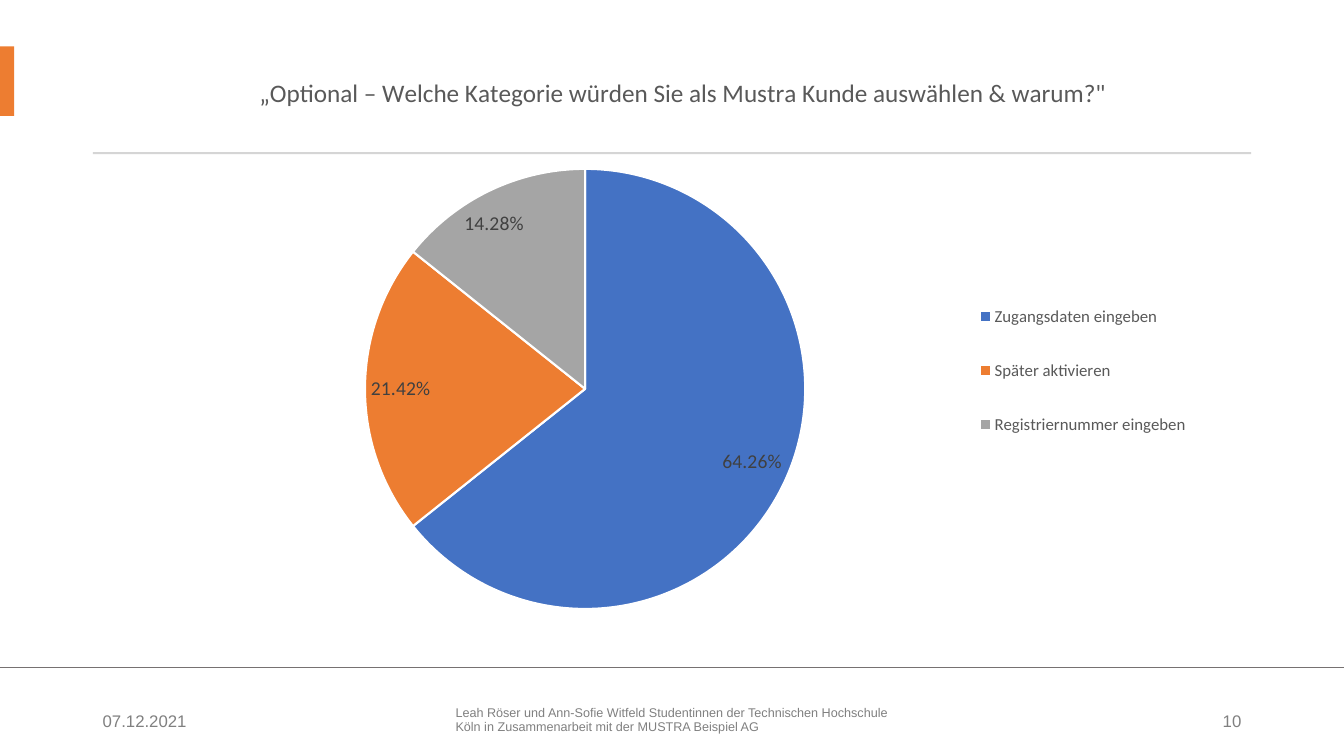
"""Build a survey result slide with a pie chart, a header accent and a footer."""
from dataclasses import dataclass

from lxml import etree
from pptx import Presentation
from pptx.chart.data import CategoryChartData
from pptx.dml.color import RGBColor
from pptx.enum.chart import XL_CHART_TYPE, XL_LABEL_POSITION, XL_LEGEND_POSITION
from pptx.enum.shapes import MSO_CONNECTOR, MSO_SHAPE
from pptx.enum.text import MSO_ANCHOR, PP_ALIGN
from pptx.oxml.ns import qn
from pptx.util import Inches, Pt

PIE = XL_CHART_TYPE.PIE
BEST_FIT = XL_LABEL_POSITION.BEST_FIT
BOTTOM = XL_LEGEND_POSITION.BOTTOM
STRAIGHT = MSO_CONNECTOR.STRAIGHT
RECTANGLE = MSO_SHAPE.RECTANGLE
MIDDLE = MSO_ANCHOR.MIDDLE
LEFT, RIGHT = PP_ALIGN.LEFT, PP_ALIGN.RIGHT

WHITE = RGBColor(0xFF, 0xFF, 0xFF)
BLUE = RGBColor(0x44, 0x72, 0xC4)
ORANGE = RGBColor(0xED, 0x7D, 0x31)
GRAY = RGBColor(0xA5, 0xA5, 0xA5)
RULE_GRAY = RGBColor(0xD5, 0xD5, 0xD5)
LINE_GRAY = RGBColor(0x76, 0x71, 0x71)
FOOTER_GRAY = RGBColor(0x80, 0x80, 0x80)
TITLE_GRAY = RGBColor(0x59, 0x59, 0x59)
LABEL_GRAY = RGBColor(0x40, 0x40, 0x40)

SLIDE_WIDTH, SLIDE_HEIGHT = 13.33, 7.5
MARGIN = 0.92
CONTENT_WIDTH = SLIDE_WIDTH - 2 * MARGIN
HEADER_TOP = 0.46
FOOTER_LINE_Y = 6.62
FOOTER_TOP, FOOTER_HEIGHT = 6.95, 0.4

QUESTION = "„Optional – Welche Kategorie würden Sie als Mustra Kunde auswählen & warum?\""
CREDIT = ("Leah Röser und Ann-Sofie Witfeld Studentinnen der Technischen Hochschule "
          "Köln in Zusammenarbeit mit der MUSTRA Beispiel AG")


@dataclass(frozen=True)
class Bar:
    left: float
    top: float
    width: float
    height: float
    color: RGBColor


@dataclass(frozen=True)
class FooterField:
    text: str
    left: float
    width: float
    size: int
    align: PP_ALIGN = LEFT
    line_spacing: float = 1.0


@dataclass(frozen=True)
class Answer:
    label: str
    share: float
    color: RGBColor


BARS = (
    Bar(0, HEADER_TOP, 0.14, 0.69, ORANGE),
    Bar(MARGIN, 1.51, CONTENT_WIDTH, 0.02, RULE_GRAY),
)
FOOTER = (
    FooterField("07.12.2021", MARGIN, 2.7, 12),
    FooterField(CREDIT, 4.42, 4.5, 9, line_spacing=0.9),
    FooterField("10", 9.69, 2.72, 12, RIGHT),
)
ANSWERS = (
    Answer("Zugangsdaten eingeben", 0.6426, BLUE),
    Answer("Später aktivieren", 0.2142, ORANGE),
    Answer("Registriernummer eingeben", 0.1428, GRAY),
)


def set_format(target, values: dict) -> None:
    for attribute, value in values.items():
        setattr(target, attribute, value)


def style_font(font, size: int, color: RGBColor, face: str = "Calibri") -> None:
    set_format(font, {"name": face, "size": Pt(size), "bold": False})
    font.color.rgb = color


def place(parent, index: int, **shares: float) -> None:
    """Give a chart part a manual layout in shares of the chart's size."""
    for old in parent.findall(qn("c:layout")):
        parent.remove(old)
    layout = etree.Element(qn("c:layout"))
    manual = etree.SubElement(layout, qn("c:manualLayout"))
    if "w" in shares and index == 0:
        etree.SubElement(manual, qn("c:layoutTarget")).set("val", "inner")
    modes = {f"{axis}Mode": "edge" for axis in "xy"}
    for tag, value in {**modes, **shares}.items():
        etree.SubElement(manual, qn(f"c:{tag}")).set("val", str(value))
    parent.insert(index, layout)


def add_bar(slide, bar: Bar) -> None:
    box = map(Inches, (bar.left, bar.top, bar.width, bar.height))
    shape = slide.shapes.add_shape(RECTANGLE, *box)
    shape.shadow.inherit = False
    shape.fill.solid()
    shape.fill.fore_color.rgb = bar.color
    shape.line.fill.background()


def add_footer_line(slide) -> None:
    y = Inches(FOOTER_LINE_Y)
    line = slide.shapes.add_connector(STRAIGHT, Inches(SLIDE_WIDTH), y, 0, y)
    line.line.color.rgb = LINE_GRAY
    line.line.width = Pt(0.5)
    etree.SubElement(line._element.spPr, qn("a:effectLst"))


def add_footer_field(slide, field: FooterField) -> None:
    box = map(Inches, (field.left, FOOTER_TOP, field.width, FOOTER_HEIGHT))
    frame = slide.shapes.add_textbox(*box).text_frame
    set_format(frame, {"word_wrap": True, "vertical_anchor": MIDDLE})
    paragraph = frame.paragraphs[0]
    set_format(paragraph, {"alignment": field.align, "space_after": Pt(6),
                           "line_spacing": field.line_spacing})
    run = paragraph.add_run()
    run.text = field.text
    style_font(run.font, field.size, FOOTER_GRAY, "Arial")


def add_answer_chart(slide) -> None:
    data = CategoryChartData(number_format="0.00%")
    data.categories = [answer.label for answer in ANSWERS]
    data.add_series(QUESTION, [answer.share for answer in ANSWERS])
    box = map(Inches, (MARGIN, HEADER_TOP, CONTENT_WIDTH, 6.07))
    chart = slide.shapes.add_chart(PIE, *box, data).chart
    set_format(chart.font, {"name": "Calibri", "size": Pt(10)})

    chart.has_title = True
    title = chart.chart_title
    title.include_in_layout = False
    heading = title.text_frame.paragraphs[0].add_run()
    heading.text = QUESTION
    style_font(heading.font, 18, TITLE_GRAY)

    chart.has_legend = True
    set_format(chart.legend, {"position": BOTTOM, "include_in_layout": False})
    style_font(chart.legend.font, 12, TITLE_GRAY)

    pie = chart.plots[0]
    pie.vary_by_categories = True
    for index, answer in enumerate(ANSWERS):
        slice_format = pie.series[0].points[index].format
        slice_format.fill.solid()
        slice_format.fill.fore_color.rgb = answer.color
        slice_format.line.color.rgb = WHITE
        slice_format.line.width = Pt(1.5)

    labels = pie.series[0].data_labels
    set_format(labels, {"show_value": True, "show_percentage": False,
                        "number_format": "0.00%", "number_format_is_linked": False,
                        "position": BEST_FIT})
    style_font(labels.font, 14, LABEL_GRAY)

    root = chart._chartSpace.chart
    place(root.find(qn("c:title")), 1, x=0.14, y=0.04)
    place(root.find(qn("c:legend")), 1, x=0.75, y=0.37, w=0.21, h=0.32)
    place(root.plotArea, 0, x=0.235, y=0.2, w=0.38, h=0.72)


def main() -> None:
    deck = Presentation()
    set_format(deck, {"slide_width": Inches(SLIDE_WIDTH),
                      "slide_height": Inches(SLIDE_HEIGHT)})
    slide = deck.slides.add_slide(deck.slide_layouts[6])
    add_footer_line(slide)
    for bar in BARS:
        add_bar(slide, bar)
    for field in FOOTER:
        add_footer_field(slide, field)
    add_answer_chart(slide)
    deck.save("out.pptx")


if __name__ == "__main__":
    main()
